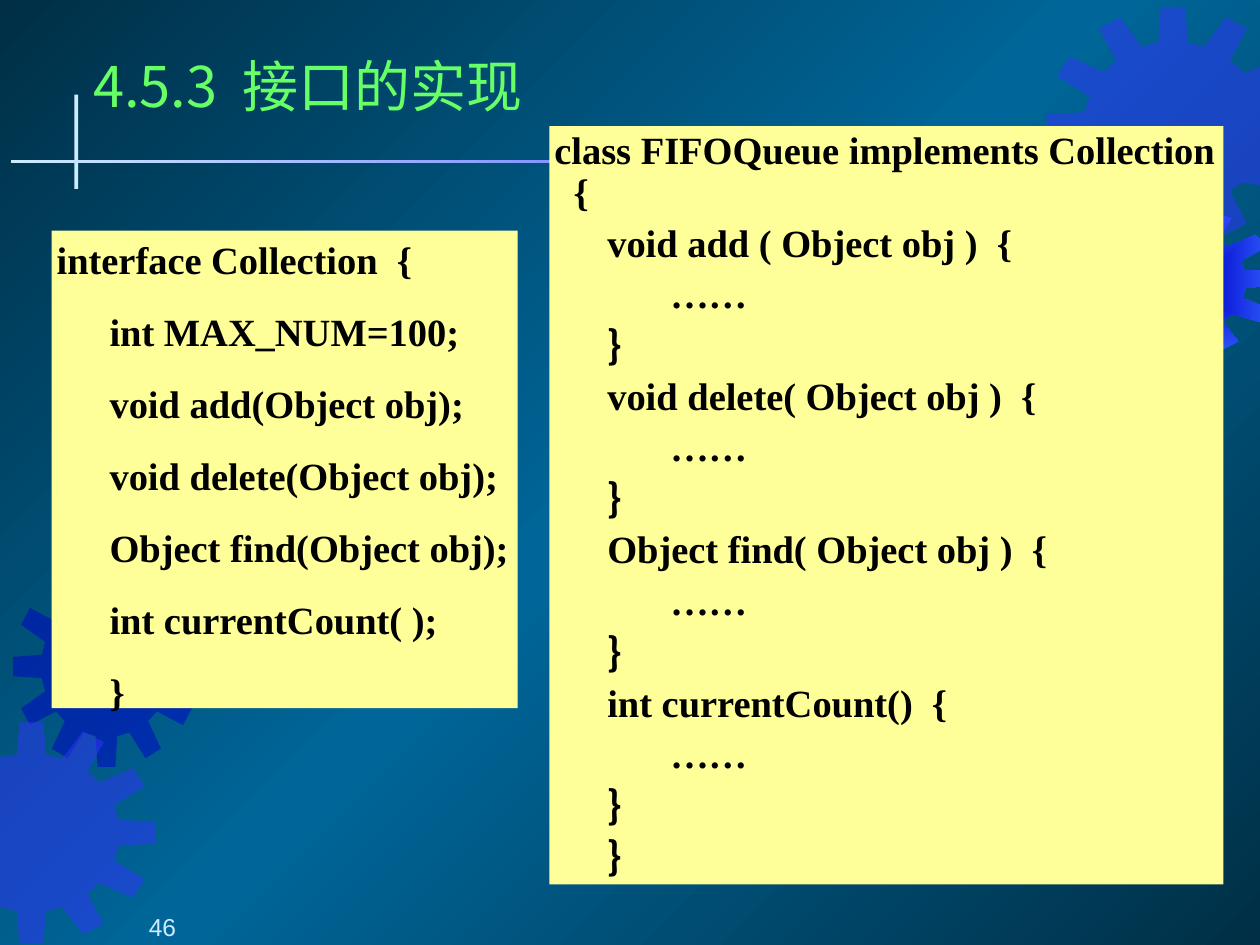
import math
from dataclasses import dataclass

import lxml.etree
import pptx
import pptx.dml.color
import pptx.enum.shapes
import pptx.enum.text
import pptx.oxml.ns
import pptx.util

COLUMNS, ROWS = 100, 75
CELL = pptx.util.Inches(0.1)
TOOTH_STEP = 30
TIP_ANGLE, ROOT_ANGLE = 5.5, 9.5
qn = pptx.oxml.ns.qn
MIDDLE = pptx.enum.text.MSO_ANCHOR.MIDDLE
BOTTOM = pptx.enum.text.MSO_ANCHOR.BOTTOM
CENTER = pptx.enum.text.PP_ALIGN.CENTER


@dataclass(frozen=True)
class Theme:
    background_edge: str = "002F46"
    background_middle: str = "006699"
    gear_dark: str = "0000CC"
    gear_bright: str = "3333FF"
    gear_light: str = "3366FF"
    pale: str = "CCECFF"
    panel: str = "FFFF99"
    code: str = "000000"
    title: str = "66FF66"
    code_font: str = "Times New Roman"
    title_font: str = "Noto Sans CJK SC"
    number_font: str = "Arial"
    code_size: float = 22
    title_size: float = 32
    number_size: float = 14


THEME = Theme()


def cells(*values):
    return [round(value * CELL) for value in values]


def set_solid(fill, color, alpha=None):
    fill.solid()
    fill.fore_color.rgb = pptx.dml.color.RGBColor.from_string(color)
    if alpha is not None:
        color_element = fill._xPr.find(f"{qn('a:solidFill')}/{qn('a:srgbClr')}")
        lxml.etree.SubElement(color_element, qn("a:alpha"), val=str(alpha * 1000))


def set_gradient(fill, stops, angle=None):
    fill.gradient()
    gradient = fill._xPr.find(qn("a:gradFill"))
    for child in list(gradient):
        gradient.remove(child)
    stop_list = lxml.etree.SubElement(gradient, qn("a:gsLst"))
    for position, color in stops:
        stop = lxml.etree.SubElement(stop_list, qn("a:gs"), pos=str(position * 1000))
        lxml.etree.SubElement(stop, qn("a:srgbClr"), val=color)
    if angle is None:
        rectangle = lxml.etree.SubElement(gradient, qn("a:path"))
        rectangle.set("path", "rect")
        lxml.etree.SubElement(rectangle, qn("a:fillToRect"),
                              l="50000", t="50000", r="50000", b="50000")
    else:
        lxml.etree.SubElement(gradient, qn("a:lin"), ang=str(angle * 60000), scaled="0")


def add_gear(slide, center, outer, root, first=0, last=330, edge=(), rotation=0):
    points = []
    for tooth in range(first, last + 1, TOOTH_STEP):
        for offset, radii in ((-ROOT_ANGLE, root), (-TIP_ANGLE, outer),
                              (TIP_ANGLE, outer), (ROOT_ANGLE, root)):
            angle = math.radians(tooth + offset)
            points.append(cells(center[0] + radii[0] * math.cos(angle),
                                center[1] + radii[1] * math.sin(angle)))
    points += [cells(*point) for point in edge]
    builder = slide.shapes.build_freeform(*points[0])
    builder.add_line_segments(points[1:], close=True)
    gear = builder.convert_to_shape()
    gear.rotation = rotation
    gear.shadow.inherit = False
    gear.line.fill.background()
    return gear


def add_rectangle(slide, bounds):
    rectangle = slide.shapes.add_shape(
        pptx.enum.shapes.MSO_SHAPE.RECTANGLE, *cells(*bounds))
    rectangle.shadow.inherit = False
    rectangle.line.fill.background()
    return rectangle


def prepare_frame(shape, horizontal, vertical, anchor):
    frame = shape.text_frame
    frame.word_wrap = True
    frame.margin_left = frame.margin_right = pptx.util.Inches(horizontal)
    frame.margin_top = frame.margin_bottom = pptx.util.Inches(vertical)
    frame.vertical_anchor = anchor
    return frame


def write_text(paragraph, text, *, font, size, color, bold=False, indent=0,
               before=0, line_spacing=None, align=pptx.enum.text.PP_ALIGN.LEFT):
    properties = paragraph._p.get_or_add_pPr()
    properties.set("marL", str(pptx.util.Inches(indent)))
    properties.set("indent", "0")
    paragraph.alignment = align
    paragraph.space_before = pptx.util.Pt(before)
    if line_spacing:
        paragraph.line_spacing = pptx.util.Pt(line_spacing)
    if text.startswith("\t"):
        tabs = lxml.etree.SubElement(properties, qn("a:tabLst"))
        lxml.etree.SubElement(tabs, qn("a:tab"), pos=str(pptx.util.Inches(1)), algn="l")
    run = paragraph.add_run()
    run.text = text
    run.font.name = font
    run.font.size = pptx.util.Pt(size)
    run.font.bold = bold
    run.font.color.rgb = pptx.dml.color.RGBColor.from_string(color)
    lxml.etree.SubElement(run._r.get_or_add_rPr(), qn("a:ea"), typeface=font)


def add_code_panel(slide, bounds, lines, before, line_spacing=None, brace_font=None):
    panel = add_rectangle(slide, bounds)
    set_solid(panel.fill, THEME.panel)
    frame = prepare_frame(panel, 0.04, 0.04, pptx.enum.text.MSO_ANCHOR.TOP)
    for index, line in enumerate(lines):
        paragraph = frame.add_paragraph() if index else frame.paragraphs[0]
        font = brace_font if brace_font and line == "}" else THEME.code_font
        write_text(paragraph, line, font=font, size=THEME.code_size, color=THEME.code,
                   bold=True, indent=0.42 if index else 0,
                   before=before if index else 0, line_spacing=line_spacing)


def add_label(slide, bounds, text, horizontal, vertical, anchor, **text_format):
    label = slide.shapes.add_textbox(*cells(*bounds))
    frame = prepare_frame(label, horizontal, vertical, anchor)
    write_text(frame.paragraphs[0], text, **text_format)


def add_decoration(slide):
    set_gradient(slide.background.fill, [
        (0, THEME.background_edge), (50, THEME.background_middle),
        (100, THEME.background_edge)], 225)
    gear = add_gear(slide, (8.45, 52.9), (7.45, 8), (5.2, 5.6))
    set_solid(gear.fill, THEME.gear_dark, 50)
    gear = add_gear(slide, (2.5, 66.1), (9.9, 8.85), (7, 6.3), -90, 90,
                    [(0, 72), (0, 60.1)])
    set_solid(gear.fill, THEME.gear_bright, 50)
    gear = add_gear(slide, (93.3, 22.5), (8.1, 6), (5.6, 4.2), rotation=-3.4)
    set_gradient(gear.fill, [(0, THEME.gear_dark), (100, THEME.gear_light)])
    gear = add_gear(slide, (93.1, 10), (10.1, 9.5), (7.1, 6.7), 60, 300,
                    [(98.8, 5.8), (100, 5.3), (100, 14.7), (98.5, 14.5)])
    set_solid(gear.fill, THEME.gear_bright, 50)
    set_solid(add_rectangle(slide, (5.9, 7.5, 0.3, 7.5)).fill, THEME.pale)
    rule = add_rectangle(slide, (0.9, 12.7, 90, 0.2))
    set_gradient(rule.fill, [(0, THEME.gear_bright), (100, THEME.pale)], 180)


def main():
    presentation = pptx.Presentation()
    presentation.slide_width, presentation.slide_height = cells(COLUMNS, ROWS)
    slide = presentation.slides.add_slide(presentation.slide_layouts[6])
    add_decoration(slide)

    interface_lines = [
        "interface Collection  {", "int MAX_NUM=100;", "void add(Object obj);",
        "void delete(Object obj);", "Object find(Object obj);",
        "int currentCount( );", "}"]
    add_code_panel(slide, (4.1, 18.3, 37, 37.9), interface_lines, 14.8)

    class_lines = ["class FIFOQueue implements Collection   {"]
    for signature in ("void add ( Object obj )  {", "void delete( Object obj )  {",
                      "Object find( Object obj )  {", "int currentCount()  {"):
        class_lines += [signature, "\t……", "}"]
    class_lines.append("}")
    add_code_panel(slide, (43.6, 10, 53.5, 60.2), class_lines, 5.5, 23.7,
                   THEME.title_font)

    add_label(slide, (7, 3.6, 88.4, 6.3), "4.5.3  接口的实现", 0.04, 0.05, MIDDLE,
              font=THEME.title_font, size=THEME.title_size, color=THEME.title)
    add_label(slide, (0, 70.5, 20.8, 4.2), "46", 0.1, 0, BOTTOM,
              font=THEME.number_font, size=THEME.number_size, color=THEME.pale,
              indent=0.5, align=CENTER)
    presentation.save("out.pptx")


if __name__ == "__main__":
    main()
